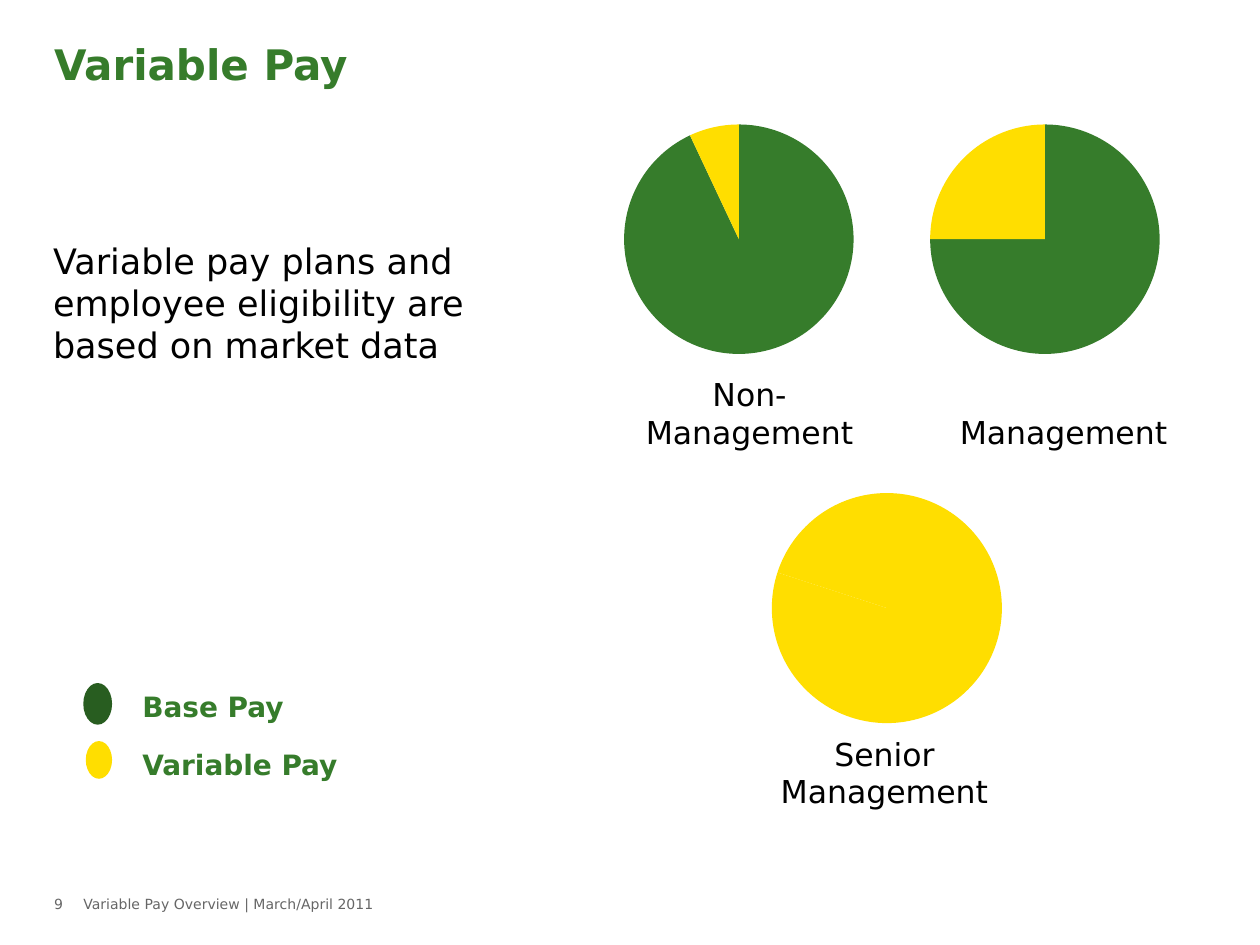
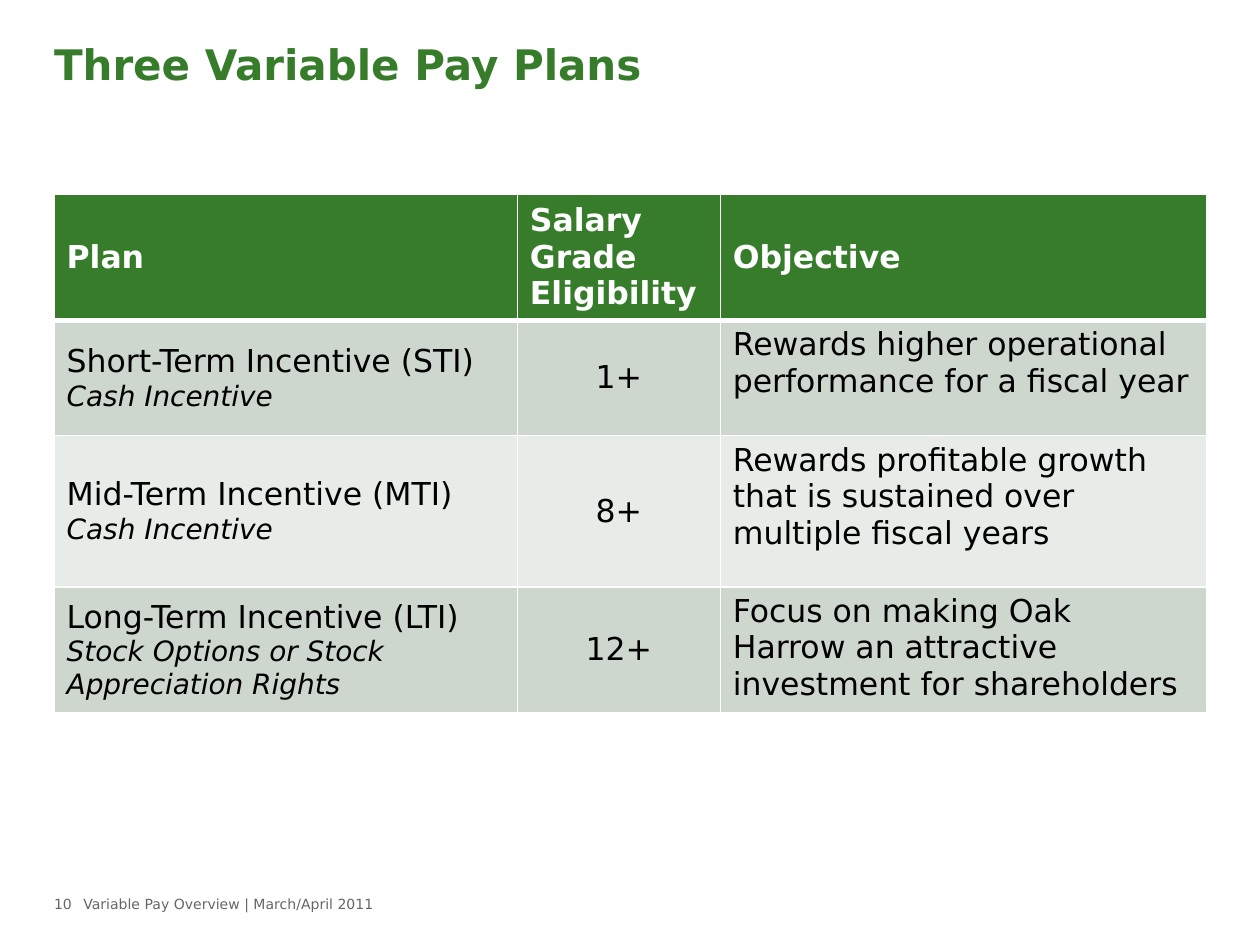
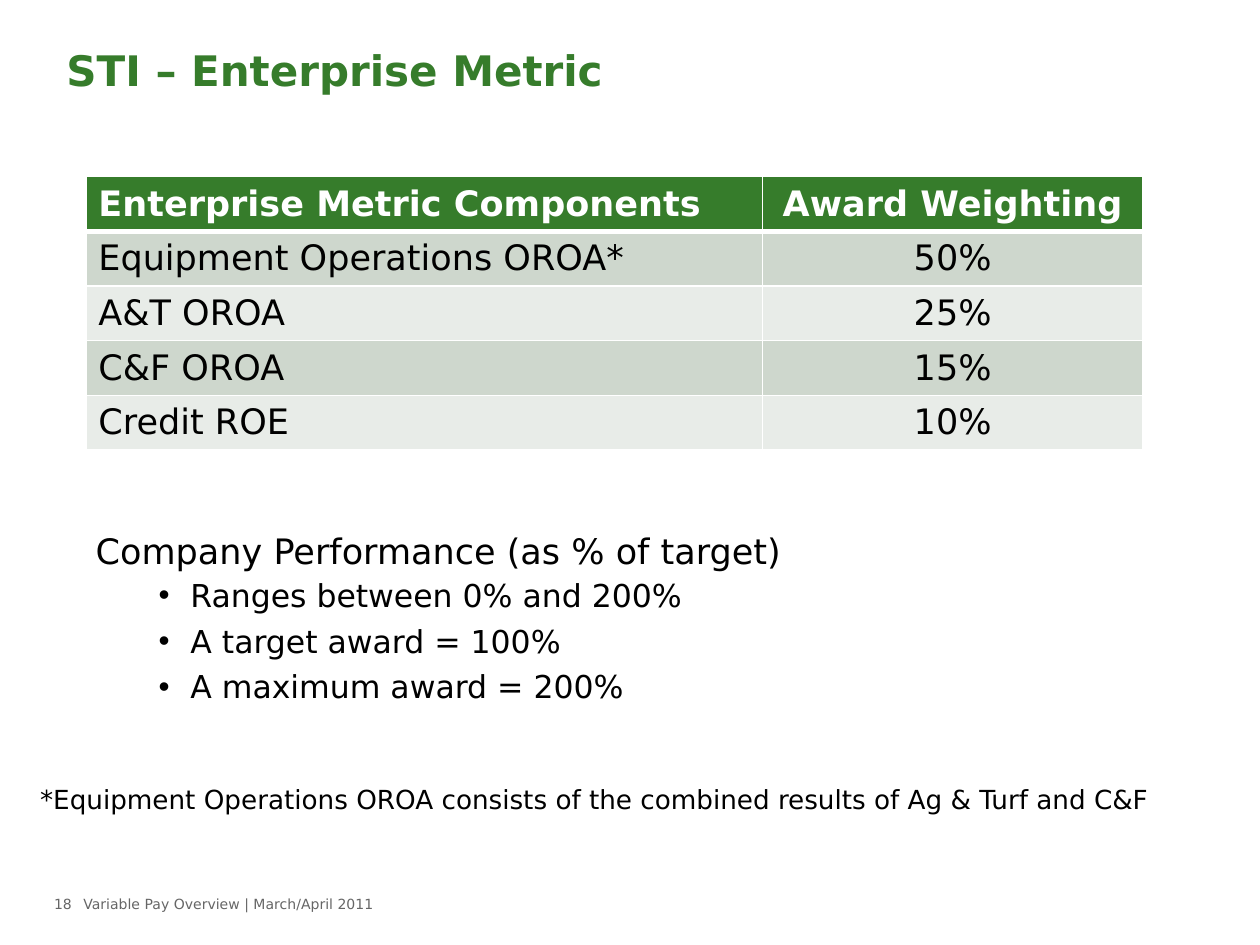
from lxml.etree import SubElement
from pptx import Presentation
from pptx.chart.data import CategoryChartData
from pptx.dml.color import RGBColor
from pptx.enum.chart import XL_CHART_TYPE as ChartType
from pptx.enum.shapes import MSO_SHAPE as Preset
from pptx.enum.text import MSO_ANCHOR as Anchor, PP_ALIGN as Align
from pptx.oxml import parse_xml
from pptx.oxml.ns import nsdecls, qn
from pptx.util import Cm, Pt

FONT = "DejaVu Sans"
GREEN, DARK_GREEN, YELLOW = "367C2B", "285D20", "FFDE00"
BLACK, WHITE, GREY = "000000", "FFFFFF", "666666"
BANDS = ("CED7CD", "E8ECE8")
FOOTER = "Variable Pay Overview | March/April 2011"
TITLE_BOX = (1.09, 0.76, 23.22, 1.42)
INSET, GAP = 0.25, 0.13


def tint(code):
    """Turn a hex string into a colour."""
    return RGBColor.from_string(code)


def place(box):
    """Turn a box in centimetres into lengths."""
    return [Cm(side) for side in box]


def fill_with(item, code):
    """Give a shape, cell or chart point a solid fill."""
    item.fill.solid()
    item.fill.fore_color.rgb = tint(code)


def add_line(frame, text, size, code=BLACK, bold=False, italic=False, align=Align.LEFT):
    """Write one paragraph, reusing the empty first one of a frame."""
    para = frame.paragraphs[0]
    if para.runs:
        para = frame.add_paragraph()
    para.alignment = align
    span = para.add_run()
    span.text = text
    font = span.font
    font.name, font.size, font.bold, font.italic = FONT, Pt(size), bold, italic
    font.color.rgb = tint(code)
    return para


def add_frame(page, box, left=INSET, right=INSET, top=GAP):
    """Add a wrapping text box and return its text frame."""
    frame = page.shapes.add_textbox(*place(box)).text_frame
    frame.word_wrap = True
    frame.margin_left, frame.margin_right = Cm(left), Cm(right)
    frame.margin_top, frame.margin_bottom = Cm(top), Cm(GAP)
    return frame


def add_page(deck, title, number, inset=0, spacing=0.9):
    """Add a blank page with the shared title and footer."""
    page = deck.slides.add_slide(deck.slide_layouts[6])
    heading = add_frame(page, TITLE_BOX, inset, inset)
    add_line(heading, title, 24, GREEN, bold=True).line_spacing = spacing
    left, width, top, height = 1.09, 15.11, 17.93, 0.64
    add_line(add_frame(page, (left, top, height, height), 0, 0), str(number), 8, GREY)
    add_line(add_frame(page, (left + 0.59, top, width, height), 0, 0), FOOTER, 8, GREY)
    return page


def add_pie(page, box, shares, colours, plot):
    """Add a two-part pie whose plot takes the given fractions of its box."""
    data = CategoryChartData()
    data.categories = ["1", "2"]
    data.add_series("Series 1", shares)
    chart = page.shapes.add_chart(ChartType.PIE, *place(box), data).chart
    chart.has_legend = chart.has_title = False
    chart.font.name, chart.font.size = FONT, Pt(18)
    chart.font.color.rgb = tint(BLACK)
    chart.plots[0].vary_by_categories = True
    for index, code in enumerate(colours):
        point = chart.plots[0].series[0].points[index]
        fill_with(point.format, code)
        point.format.line.fill.background()
    area = chart.element.find(".//" + qn("c:plotArea"))
    for old in area.findall(qn("c:layout")):
        area.remove(old)
    layout = parse_xml(f"<c:layout {nsdecls('c')}><c:manualLayout/></c:layout>")
    settings = [("layoutTarget", "inner"), ("xMode", "edge"), ("yMode", "edge")]
    for name, value in settings + list(zip("xywh", plot)):
        SubElement(layout[0], qn("c:" + name)).set("val", str(value))
    area.insert(0, layout)


def add_legend(page, box, entries):
    """Stack oval keys and their labels down a box."""
    left, top, width, step = box
    for index, (text, code, oval_width, oval_height) in enumerate(entries):
        y = top + index * step
        oval_left = left + 0.58 - oval_width
        oval = page.shapes.add_shape(
            Preset.OVAL, *place((oval_left, y, oval_width, oval_height)))
        oval.shadow.inherit = False
        fill_with(oval, code)
        oval.line.fill.background()
        frame = add_frame(page, (left + 0.94, y, width - 0.94, 0.94))
        add_line(frame, text, 16, GREEN, bold=True)


def set_borders(cell, row):
    """Draw white cell edges, with a heavy line below the header."""
    weights = {"L": 1, "R": 1, "T": 3 if row == 1 else 1, "B": 3 if row == 0 else 1}
    for side, weight in weights.items():
        cell._tc.get_or_add_tcPr().append(parse_xml(
            f'<a:ln{side} {nsdecls("a")} w="{Pt(weight)}"><a:solidFill>'
            f'<a:srgbClr val="{WHITE}"/></a:solidFill></a:ln{side}>'))


def add_grid(page, corner, widths, heights, rows, size, centred, top_column=None):
    """Add a banded table; second lines of body cells are smaller italics."""
    box = (*corner, sum(widths), sum(heights))
    grid = page.shapes.add_table(len(rows), len(widths), *place(box)).table
    for column, width in zip(grid.columns, widths):
        column.width = Cm(width)
    for r, (row, height) in enumerate(zip(rows, heights)):
        grid.rows[r].height = Cm(height)
        for c, text in enumerate(row):
            cell = grid.cell(r, c)
            set_borders(cell, r)
            fill_with(cell, BANDS[(r - 1) % 2] if r else GREEN)
            cell.vertical_anchor = Anchor.TOP if r and c == top_column else Anchor.MIDDLE
            align = Align.CENTER if (r, c) in centred else Align.LEFT
            for order, line in enumerate(text.split("\n")):
                note = r > 0 and order > 0
                add_line(cell.text_frame, line, size - 2 if note else size,
                         BLACK if r else WHITE, not r, note, align)


def add_bullets(page, box, heading, items):
    """Write a heading with indented bullets below it."""
    frame = add_frame(page, box)
    add_line(frame, heading, 20)
    for item in items:
        para = add_line(frame, item, 18)
        para.space_before, para.space_after = Pt(2.7), Pt(1.8)
        props = para._p.get_or_add_pPr()
        props.set("marL", str(Cm(1.91)))
        props.set("indent", str(-Cm(0.64)))
        SubElement(props, qn("a:buFont")).set("typeface", "Arial")
        SubElement(props, qn("a:buChar")).set("char", "•")


def build_pay_mix(deck):
    """Build the page of pay shares by level."""
    page = add_page(deck, "Variable Pay", 9)
    add_line(add_frame(page, (1.07, 2.82, 9.91, 13.94), 0, top=2),
             "Variable pay plans and employee eligibility are based on market data", 20)
    mix, small_plot = (GREEN, YELLOW), (0.125, 0.065, 0.75, 0.87)
    pies = [
        ((11.81, 2.16, 6.17, 5.33), (93, 7), mix, small_plot),
        ((17.98, 2.16, 6.17, 5.33), (75, 25), mix, small_plot),
        ((14.12, 8.99, 7.75, 5.59), (80, 20), (YELLOW, YELLOW), (0.14, 0.17, 0.69, 0.83)),
    ]
    for pie in pies:
        add_pie(page, *pie)
    labels = [("Non-Management", 12.24, 7.44), ("Management", 18.57, 8.2),
              ("Senior Management", 14.96, 14.68)]
    for text, left, top in labels:
        add_line(add_frame(page, (left, top, 5.74, 1.8)), text, 18, align=Align.CENTER)
    add_legend(page, (1.68, 13.77, 6.78, 1.17), [
        ("Base Pay", DARK_GREEN, 0.58, 0.84), ("Variable Pay", YELLOW, 0.53, 0.76)])


def build_plans(deck):
    """Build the page that compares the plans."""
    page = add_page(deck, "Three Variable Pay Plans", 10)
    rows = [
        ("Plan", "Salary\nGrade Eligibility", "Objective"),
        ("Short-Term Incentive (STI)\nCash Incentive", "1+",
         "Rewards higher operational performance for a fiscal year"),
        ("Mid-Term Incentive (MTI)\nCash Incentive", "8+",
         "Rewards profitable growth that is sustained over multiple fiscal years"),
        ("Long-Term Incentive (LTI)\nStock Options or Stock Appreciation Rights", "12+",
         "Focus on making Oak Harrow an attractive investment for shareholders"),
    ]
    add_grid(page, (1.09, 3.92), (9.34, 4.09, 9.8), (2.44, 2.32, 3.05, 2.46), rows, 18,
             {(r, 1) for r in range(1, 4)}, top_column=2)


def build_metric(deck):
    """Build the page on the enterprise metric."""
    page = add_page(deck, "STI – Enterprise Metric", 18, INSET, 1.0)
    rows = [
        ("Enterprise Metric Components", "Award Weighting"),
        ("Equipment Operations OROA*", "50%"),
        ("A&T OROA", "25%"),
        ("C&F OROA", "15%"),
        ("Credit ROE", "10%"),
    ]
    add_grid(page, (1.73, 3.56), (13.64, 7.67), [1.1] * len(rows), rows, 20,
             {(r, 1) for r in range(len(rows))})
    add_line(add_frame(page, (0.56, 15.67, 24.64, 0.89)),
             "*Equipment Operations OROA consists of the combined results "
             "of Ag & Turf and C&F", 15)
    add_bullets(page, (1.68, 10.54, 17.12, 3.91), "Company Performance (as % of target)", [
        "Ranges between 0% and 200%", "A target award = 100%", "A maximum award = 200%"])


def main():
    """Build and save the deck."""
    deck = Presentation()
    deck.slide_width, deck.slide_height = Cm(25.4), Cm(19.05)
    for build in (build_pay_mix, build_plans, build_metric):
        build(deck)
    deck.save("out.pptx")


if __name__ == "__main__":
    main()
